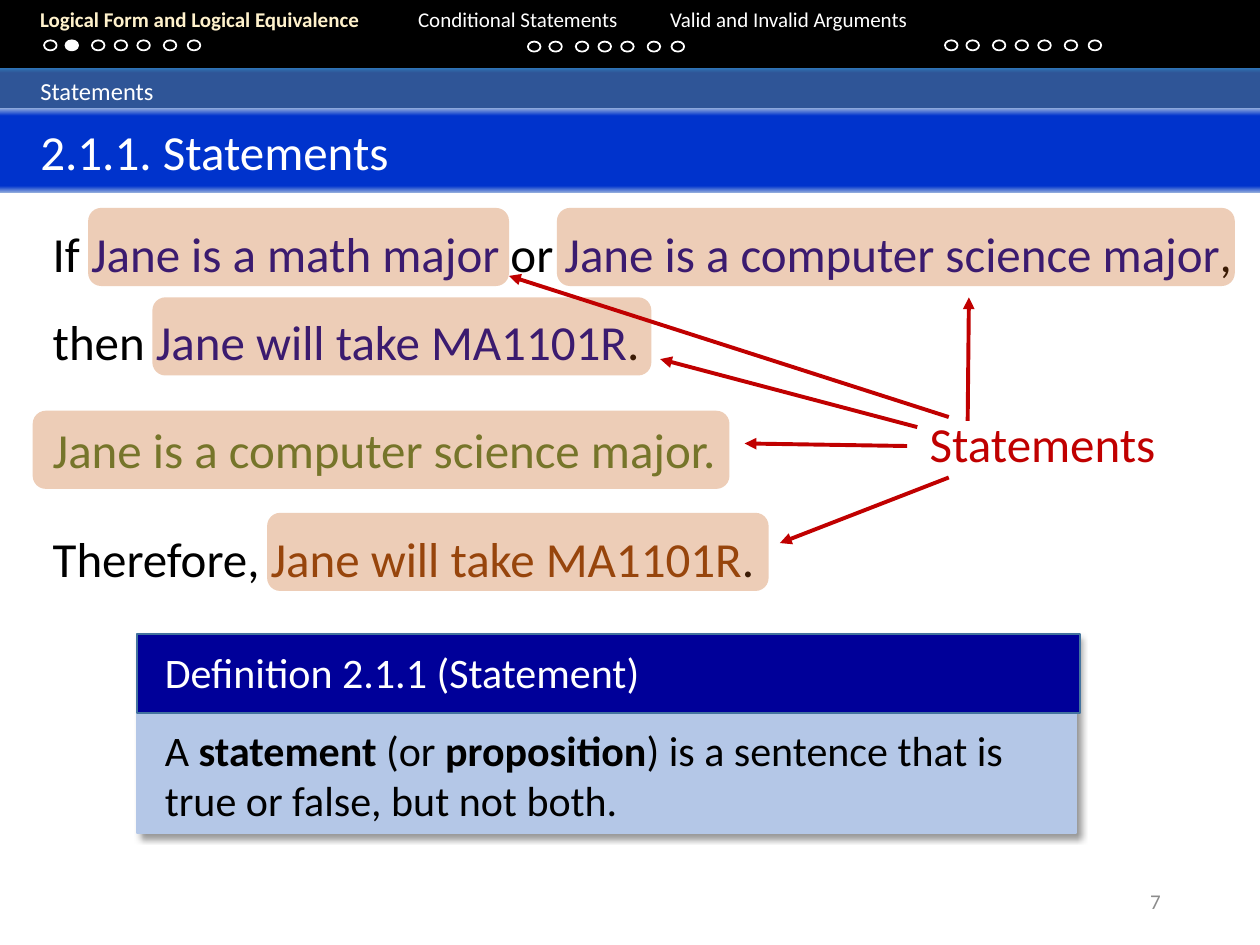
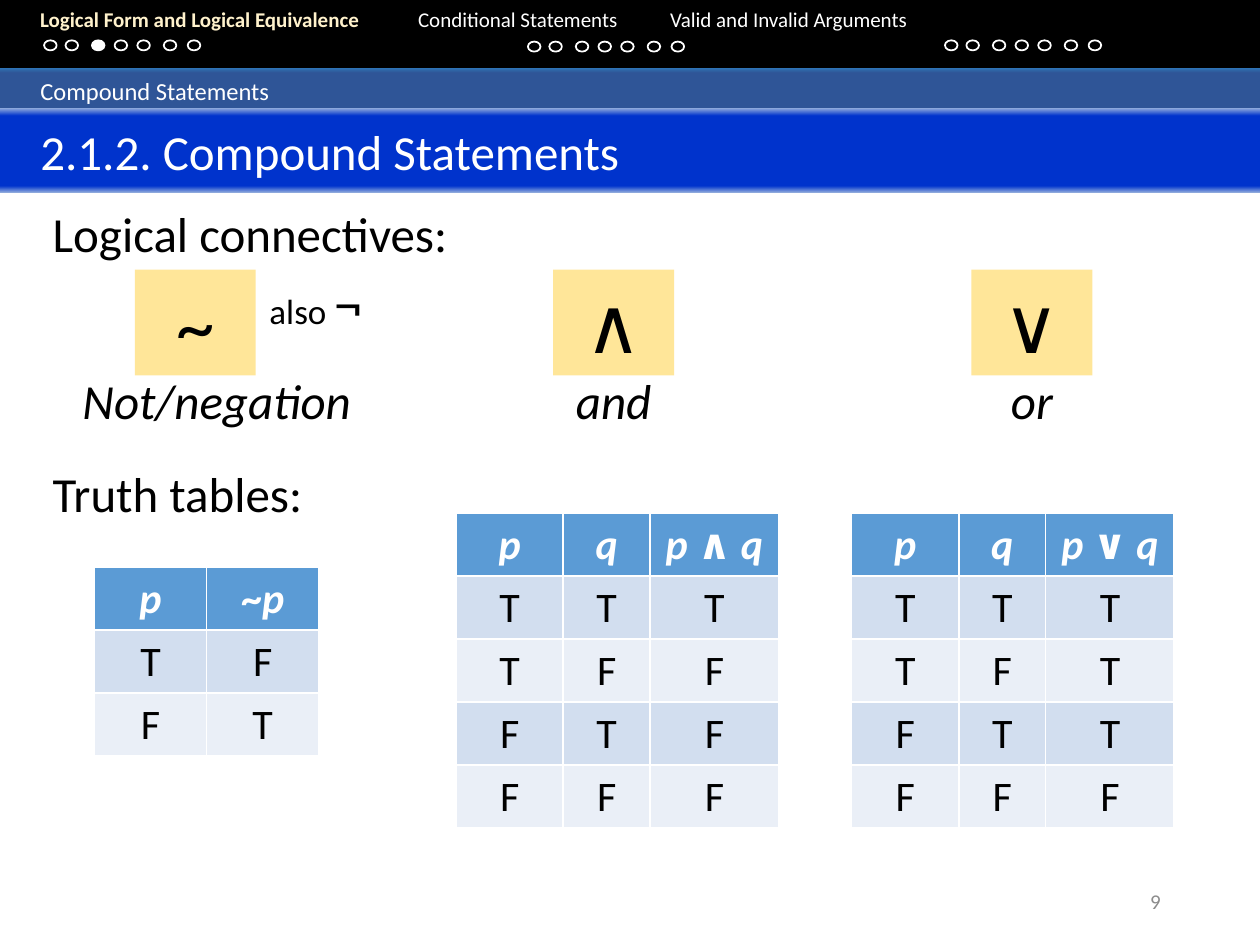
from dataclasses import dataclass
from typing import NamedTuple

from lxml import etree
from pptx import Presentation
from pptx import util as u
from pptx.dml.color import RGBColor
from pptx.enum import shapes, text
from pptx.oxml.ns import qn

FONT = "Calibri"
BLACK, WHITE = "000000", "FFFFFF"
CREAM, GREY = "FFF2CC", "8C8C8C"
NAVY, GREEN, BROWN, RED = "000099", "548235", "843C0B", "C00000"
HIGHLIGHT, PALE_BLUE, AMBER = "C55A11", "B4C7E7", "FFE699"
TABLE_HEADER, TABLE_BANDS = "5B9BD5", ("D2DEEF", "EAEFF7")
TOPIC_STOPS = ((0, "2E75B6"), (11, "2F5597"), (91, "2F5597"), (100, "2E75B6"))
TITLE_STOPS = ((0, "8FAADC"), (9, "0033CC"), (92, "0033CC"), (100, "8FAADC"))
MARGIN = 0.32
SECTIONS = ("Logical Form and Logical Equivalence", "Conditional Statements",
            "Valid and Invalid Arguments")
SECTION_TABS = (4.05, 7.35)
DOT_ROWS = ((0.35, 0.32), (4.19, 0.33), (7.5, 0.32))
DOT_OFFSETS = (0, 0.17, 0.38, 0.56, 0.74, 0.95, 1.14)
TRUTH_COLUMNS = (0.85, 0.69, 1.02)
ROW_HEIGHT = 0.5

RECTANGLE = shapes.MSO_SHAPE.RECTANGLE
ROUNDED = shapes.MSO_SHAPE.ROUNDED_RECTANGLE
OVAL = shapes.MSO_SHAPE.OVAL
CENTER, RIGHT = text.PP_ALIGN.CENTER, text.PP_ALIGN.RIGHT
TOP, MIDDLE = text.MSO_ANCHOR.TOP, text.MSO_ANCHOR.MIDDLE


class Box(NamedTuple):
    left: float
    top: float
    width: float
    height: float

    def lengths(self):
        return [u.Inches(value) for value in self]


class Run(NamedTuple):
    text: str
    color: str | None = None
    bold: bool | None = None
    italic: bool | None = None
    size: float | None = None


@dataclass
class Page:
    topic: str
    title: str
    number: int
    active_dot: int


@dataclass
class Connective:
    left: float
    symbol: str
    name: str
    name_left: float
    name_width: float


@dataclass
class TruthTable:
    left: float
    top: float
    columns: tuple
    header: tuple
    rows: tuple


def rgb(color: str) -> RGBColor:
    return RGBColor.from_string(color)


def add_node(parent, tag: str, **attributes):
    return etree.SubElement(parent, qn(tag), attributes)


def write(frame, content, *, size: float = 28, color: str = BLACK, bold: bool = False,
          italic: bool = False, align=None, spacing: float | None = None):
    paragraph = frame.paragraphs[0]
    paragraph.alignment = align
    if spacing:
        paragraph.line_spacing = spacing
    for part in [Run(content)] if isinstance(content, str) else content:
        run = paragraph.add_run()
        run.text = part.text
        run.font.name = FONT
        run.font.size = u.Pt(part.size or size)
        run.font.bold = bold if part.bold is None else part.bold
        run.font.italic = italic if part.italic is None else part.italic
        run.font.color.rgb = rgb(part.color or color)
    return paragraph


def add_text(canvas, box: Box, content, *, anchor=TOP, grow: bool = True, **style):
    frame = canvas.add_textbox(*box.lengths()).text_frame
    frame.word_wrap = True
    frame.vertical_anchor = anchor
    if grow:
        frame.auto_size = text.MSO_AUTO_SIZE.SHAPE_TO_FIT_TEXT
    return write(frame, content, **style)


def add_shape(canvas, box: Box, *, kind=RECTANGLE, fill: str | None = None,
              line: str | None = None, alpha: int = 100):
    shape = canvas.add_shape(kind, *box.lengths())
    shape.shadow.inherit = False
    if fill:
        shape.fill.solid()
        shape.fill.fore_color.rgb = rgb(fill)
        if alpha < 100:
            shade = shape._element.spPr.find(".//" + qn("a:srgbClr"))
            add_node(shade, "a:alpha", val=str(alpha * 1000))
    else:
        shape.fill.background()
    if line:
        shape.line.color.rgb = rgb(line)
        shape.line.width = u.Pt(1)
    else:
        shape.line.fill.background()
    return shape


def add_shadow(shape) -> None:
    effects = shape._element.spPr.find(qn("a:effectLst"))
    shadow = add_node(effects, "a:outerShdw", blurRad=str(u.Pt(4)), dist=str(u.Pt(3)),
                      dir=str(45 * 60000), algn="tl", rotWithShape="0")
    shade = add_node(shadow, "a:srgbClr", val=BLACK)
    add_node(shade, "a:alpha", val="40000")


def add_band(canvas, box: Box, stops: tuple, content: str, size: float) -> None:
    band = add_shape(canvas, box)
    band.fill.gradient()
    band.fill.gradient_angle = 270
    stop_list = band._element.spPr.find(".//" + qn("a:gsLst"))
    for old_stop in list(stop_list):
        stop_list.remove(old_stop)
    for position, color in stops:
        stop = add_node(stop_list, "a:gs", pos=str(position * 1000))
        add_node(stop, "a:srgbClr", val=color)
    frame = band.text_frame
    frame.margin_left = u.Inches(MARGIN)
    frame.vertical_anchor = MIDDLE
    write(frame, content, size=size, color=WHITE, align=text.PP_ALIGN.LEFT)


def add_arrow(canvas, start: tuple, end: tuple) -> None:
    points = [u.Inches(value) for value in (*start, *end)]
    arrow = canvas.add_connector(shapes.MSO_CONNECTOR.STRAIGHT, *points)
    arrow.line.color.rgb = rgb(RED)
    arrow.line.width = u.Pt(2.25)
    properties = arrow._element.spPr
    add_node(properties.find(qn("a:ln")), "a:tailEnd", type="triangle")
    add_node(properties, "a:effectLst")


def add_navigation(canvas) -> None:
    add_shape(canvas, Box(0, -0.02, 10, 0.56), fill=BLACK)
    first, *others = SECTIONS
    runs = [Run(first, CREAM, bold=True)] + [Run("\t" + name) for name in others]
    paragraph = add_text(canvas, Box(0, 0, 10, 0.5), runs, size=12, color=WHITE, grow=False)
    properties = paragraph._p.get_or_add_pPr()
    properties.set("marL", str(u.Inches(0.22)))
    properties.set("indent", "0")
    tabs = add_node(properties, "a:tabLst")
    for position in SECTION_TABS:
        add_node(tabs, "a:tab", pos=str(u.Inches(position)), algn="l")


def add_dots(canvas, active_dot: int) -> None:
    for section, (left, top) in enumerate(DOT_ROWS):
        for index, offset in enumerate(DOT_OFFSETS):
            active = section == 0 and index == active_dot
            add_shape(canvas, Box(left + offset, top, 0.1, 0.08), kind=OVAL,
                      fill=WHITE if active else None, line=WHITE)


def add_page(presentation, page: Page):
    canvas = presentation.slides.add_slide(presentation.slide_layouts[6]).shapes
    add_navigation(canvas)
    add_band(canvas, Box(0, 0.54, 10, 0.36), TOPIC_STOPS, page.topic, 14)
    add_band(canvas, Box(0, 0.86, 10, 0.67), TITLE_STOPS, page.title, 28)
    add_dots(canvas, page.active_dot)
    add_text(canvas, Box(7.06, 6.95, 2.25, 0.4), str(page.number), size=12, color=GREY,
             align=RIGHT, anchor=MIDDLE, grow=False)
    return canvas


def add_definition(canvas) -> None:
    group = canvas.add_group_shape().shapes
    add_shadow(add_shape(group, Box(1.09, 5.03, 7.45, 1.58), fill=PALE_BLUE, line=PALE_BLUE))
    add_shape(group, Box(1.09, 5.03, 7.48, 0.63), fill=NAVY, line="43739E")
    add_text(group, Box(1.21, 5.08, 4.63, 0.5), "Definition 2.1.1 (Statement)",
             size=24, color=WHITE)
    add_text(group, Box(1.21, 5.7, 7.15, 0.91), [
        Run("A "), Run("statement", bold=True), Run(" (or "), Run("proposition", bold=True),
        Run(") is a sentence that is true or false, but not both.")], size=24)


def add_connective(canvas, item: Connective) -> None:
    group = canvas.add_group_shape().shapes
    tile = add_shape(group, Box(item.left, 2.14, 0.96, 0.84), fill=AMBER)
    write(tile.text_frame, item.symbol, size=44, align=CENTER)
    add_text(group, Box(item.name_left, 2.89, item.name_width, 0.57), item.name,
             italic=True, align=CENTER)


def add_truth_table(canvas, item: TruthTable) -> None:
    count = len(item.rows) + 1
    box = Box(item.left, item.top, sum(item.columns), count * ROW_HEIGHT)
    table = canvas.add_table(count, len(item.columns), *box.lengths()).table
    for column, width in zip(table.columns, item.columns):
        column.width = u.Inches(width)
    for row_index, values in enumerate((item.header, *item.rows)):
        heading = row_index == 0
        for column_index, value in enumerate(values):
            cell = table.cell(row_index, column_index)
            cell.fill.solid()
            cell.fill.fore_color.rgb = rgb(
                TABLE_HEADER if heading else TABLE_BANDS[(row_index - 1) % 2])
            write(cell.text_frame, value, size=24, color=WHITE if heading else BLACK,
                  bold=heading, italic=heading, align=CENTER)


def build_statements(presentation) -> None:
    canvas = add_page(presentation, Page("Statements", "2.1.1. Statements", 7, 1))
    add_text(canvas, Box(MARGIN, 1.49, 9.64, 1.51), [
        Run("If "), Run("Jane is a math major ", NAVY), Run("or "),
        Run("Jane is a computer science major", NAVY), Run(", then "),
        Run("Jane will take MA1101R", NAVY), Run(".")], spacing=1.5)
    add_text(canvas, Box(MARGIN, 3.05, 6.96, 0.81), "Jane is a computer science major. ",
             color=GREEN, spacing=1.5)
    add_text(canvas, Box(MARGIN, 3.91, 6.27, 0.81), [
        Run("Therefore, "), Run("Jane will take MA1101R", BROWN), Run(".")], spacing=1.5)
    for left, top, width in ((0.7, 1.65, 3.34), (4.42, 1.65, 5.38), (1.21, 2.36, 3.96),
                             (0.26, 3.26, 5.53), (2.12, 4.07, 3.98)):
        add_shape(canvas, Box(left, top, width, 0.62), kind=ROUNDED, fill=HIGHLIGHT, alpha=30)
    group = canvas.add_group_shape().shapes
    add_text(group, Box(7.28, 3.23, 2.14, 0.57), "Statements", color=RED)
    for start, end in (((7.68, 3.34), (7.69, 2.36)), ((7.53, 3.31), (4.04, 2.19)),
                       ((7.28, 3.39), (5.24, 2.85)), ((7.2, 3.54), (5.91, 3.52)),
                       ((7.53, 3.79), (6.19, 4.31))):
        add_arrow(group, start, end)
    add_definition(canvas)


def build_compound_statements(presentation) -> None:
    canvas = add_page(presentation,
                      Page("Compound Statements", "2.1.2. Compound Statements", 9, 2))
    add_text(canvas, Box(MARGIN, 1.57, 4.27, 0.57), "Logical connectives:")
    for item in (Connective(1.07, "~", "Not/negation", 0.52, 2.4),
                 Connective(4.39, "∧", "and", 4.39, 0.96),
                 Connective(7.71, "∨", "or", 7.71, 0.96)):
        add_connective(canvas, item)
    add_text(canvas, Box(2.04, 2.08, 1.09, 0.64), [Run("also "), Run("¬", size=32)], size=20)
    add_text(canvas, Box(MARGIN, 3.63, 2.6, 0.57), "Truth tables:")
    add_truth_table(canvas, TruthTable(
        0.75, 4.5, (0.89, 0.89), ("p", (Run("~", italic=False), Run("p"))), ("TF", "FT")))
    for left, symbol, rows in ((3.62, "∧", ("TTT", "TFF", "FTF", "FFF")),
                               (6.76, "∨", ("TTT", "TFT", "FTT", "FFF"))):
        formula = (Run("p "), Run(symbol + " ", italic=False), Run("q"))
        add_truth_table(canvas, TruthTable(left, 4.07, TRUTH_COLUMNS, ("p", "q", formula), rows))


def main() -> None:
    presentation = Presentation()
    presentation.slide_width = u.Inches(10)
    presentation.slide_height = u.Inches(7.5)
    build_statements(presentation)
    build_compound_statements(presentation)
    presentation.save("out.pptx")


main()
